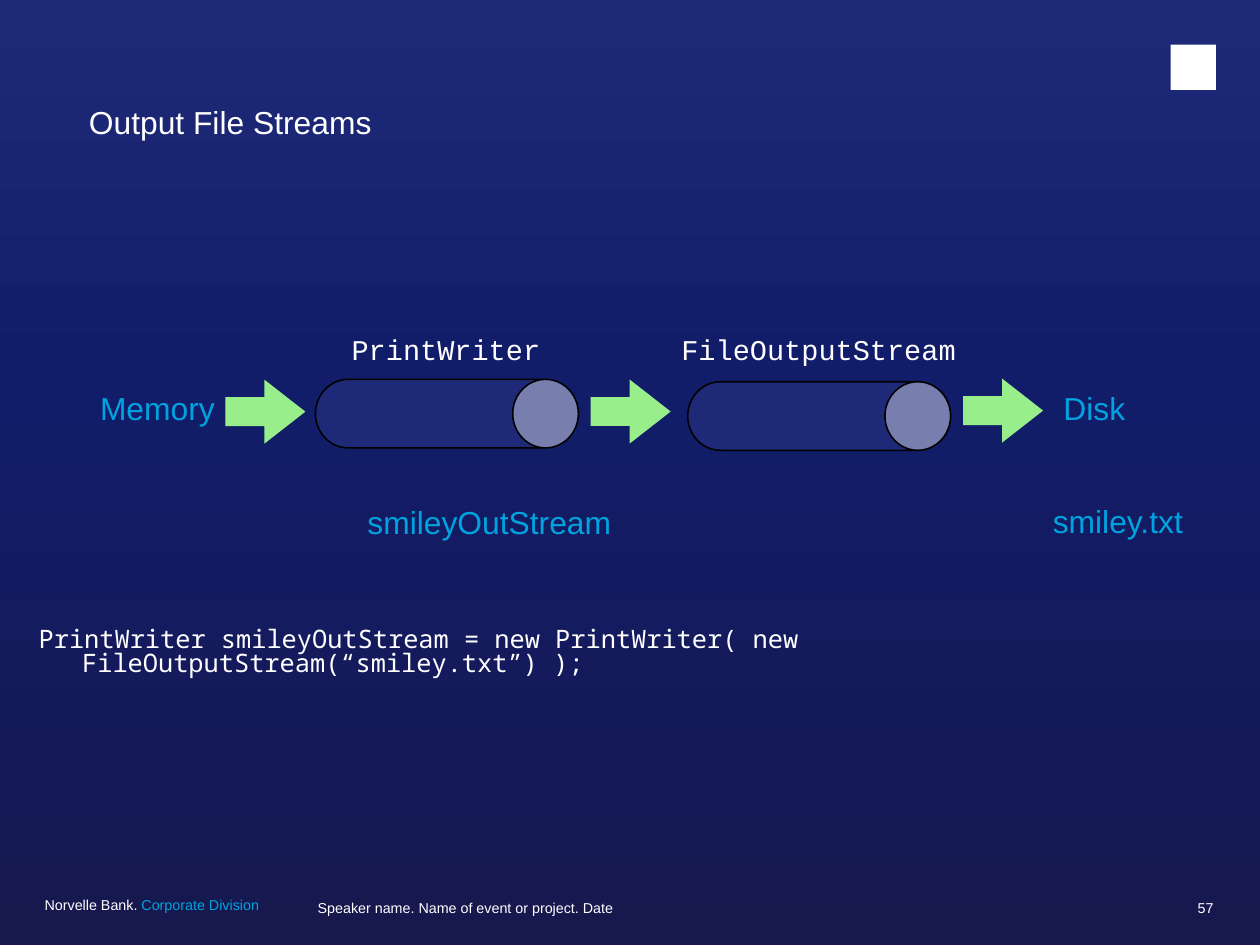
from copy import deepcopy

from pptx import Presentation
from pptx.dml.color import RGBColor
from pptx.enum.shapes import MSO_SHAPE as Shape
from pptx.enum.text import MSO_ANCHOR as Anchor, MSO_AUTO_SIZE as AutoSize, PP_ALIGN as Align
from pptx.oxml.ns import qn
from pptx.util import Pt

COLOURS = {
    "white": "FFFFFF",
    "black": "000000",
    "cyan": "00A3E0",
    "green": "98EE8A",
    "navy": "1E2A78",
    "midnight": "121D69",
    "dusk": "16184E",
}
SANS, COURIER, MONO = "Arial", "Courier New", "Noto Sans Mono"
INSET = (7.2, 3.6)
HANGING = 27.4


def rgb(name):
    return RGBColor.from_string(COLOURS[name])


def write(frame, runs, size, font=SANS, align=Align.LEFT, spacing=0.8,
          inset=(0, 0), anchor=Anchor.TOP, hanging=0):
    frame.word_wrap = True
    frame.auto_size = AutoSize.NONE
    frame.vertical_anchor = anchor
    frame.margin_left = frame.margin_right = Pt(inset[0])
    frame.margin_top = frame.margin_bottom = Pt(inset[1])
    paragraph = frame.paragraphs[0]
    if hanging:
        properties = paragraph._p.get_or_add_pPr()
        properties.set("marL", str(Pt(hanging)))
        properties.set("indent", str(Pt(-hanging)))
    paragraph.alignment = align
    paragraph.line_spacing = spacing
    for words, colour in runs:
        run = paragraph.add_run()
        run.text = words
        run.font.size = Pt(size)
        run.font.name = font
        run.font.color.rgb = rgb(colour)


def add_text(slide, box, runs, size, **style):
    label = slide.shapes.add_textbox(*map(Pt, box))
    write(label.text_frame, runs, size, **style)


def add_solid(slide, kind, box, colour):
    solid = slide.shapes.add_shape(kind, *map(Pt, box))
    solid.shadow.inherit = False
    solid.fill.solid()
    solid.fill.fore_color.rgb = rgb(colour)
    solid.line.fill.background()
    return solid


def paint_background(slide):
    fill = slide.background.fill
    fill.gradient()
    fill.gradient_angle = 90
    stop_list = next(slide.element.iter(qn("a:gsLst")))
    stop_list.append(deepcopy(stop_list[0]))
    shades = ((0, "dusk"), (0.6, "midnight"), (1, "navy"))
    for stop, (position, colour) in zip(fill.gradient_stops, shades):
        stop.position = position
        stop.color.rgb = rgb(colour)


def add_heading(slide, box):
    title = slide.shapes.title
    title.left, title.top, title.width, title.height = map(Pt, box)
    write(title.text_frame, [("Output File Streams", "white")], 20, spacing=0.9)


def add_footer(slide, box):
    left, top, width, height = box
    parts = (
        (0, 0, 157, Align.LEFT, [("Norvelle Bank. ", "white"), ("Corporate Division", "cyan")]),
        (172, 1.9, 389, Align.LEFT, [("Speaker name. Name of event or project. Date", "white")]),
        (width - 28, 1.9, 28, Align.RIGHT, [("57", "white")]),
    )
    for offset, drop, part_width, align, runs in parts:
        add_text(slide, (left + offset, top + drop, part_width, height), runs, 9,
                 align=align, spacing=Pt(9))


def add_pipe(slide, box):
    left, top, length, bore = box
    upright = (left + (length - bore) / 2, top - (length - bore) / 2, bore, length)
    pipe = add_solid(slide, Shape.CAN, upright, "navy")
    pipe.rotation = 90
    pipe.adjustments[0] = 0.958
    pipe.line.color.rgb = rgb("black")
    pipe.line.width = Pt(1)


def add_flow(slide, box):
    left, top, width, height = box
    for offset, drop in ((56.7, 29.5), (291.2, 31)):
        add_pipe(slide, (left + offset, top + drop, 165.6, 43.2))
    for offset, drop in ((0, 29.7), (230.1, 29.6), (464.7, 29)):
        arrow = add_solid(slide, Shape.RIGHT_ARROW, (left + offset, top + drop, 50.4, 40.3), "green")
        arrow.adjustments[0] = 0.452
        arrow.adjustments[1] = 0.64
    for words, offset, label_width in (("PrintWriter", 72.4, 164), ("FileOutputStream", 280.1, 206)):
        add_text(slide, (left + offset, top, label_width, 26), [(words, "white")], 18,
                 font=COURIER, inset=INSET)
    for words, middle in (("Memory", -42.8), ("Disk", 547.4)):
        add_text(slide, (left + middle - 50, top + 34, 100, 31), [(words, "cyan")], 20,
                 align=Align.CENTER, inset=INSET, anchor=Anchor.MIDDLE)
    for words, offset, rise, label_width in (("smileyOutStream", 82.4, 27, 175), ("smiley.txt", 514.1, 27.8, 103)):
        add_text(slide, (left + offset, top + height - rise, label_width, 27), [(words, "cyan")], 20,
                 inset=INSET)


def add_code(slide, box):
    statement = "PrintWriter smileyOutStream = new PrintWriter( new FileOutputStream(“smiley.txt”) );"
    add_text(slide, box, [(statement, "white")], 16, font=MONO, inset=INSET, hanging=HANGING)


def main():
    deck = Presentation()
    deck.slide_width, deck.slide_height = Pt(793.7), Pt(595.28)
    slide = deck.slides.add_slide(deck.slide_layouts[5])
    paint_background(slide)
    add_solid(slide, Shape.RECTANGLE, (737.5, 28.2, 28.4, 28.4), "white")
    add_footer(slide, (28.1, 566.6, 736.4, 14.4))
    add_heading(slide, (56, 67.3, 682, 44))
    add_flow(slide, (142, 209.5, 515.5, 135.5))
    add_code(slide, (17.3, 392.4, 750, 40))
    deck.save("out.pptx")


if __name__ == "__main__":
    main()
